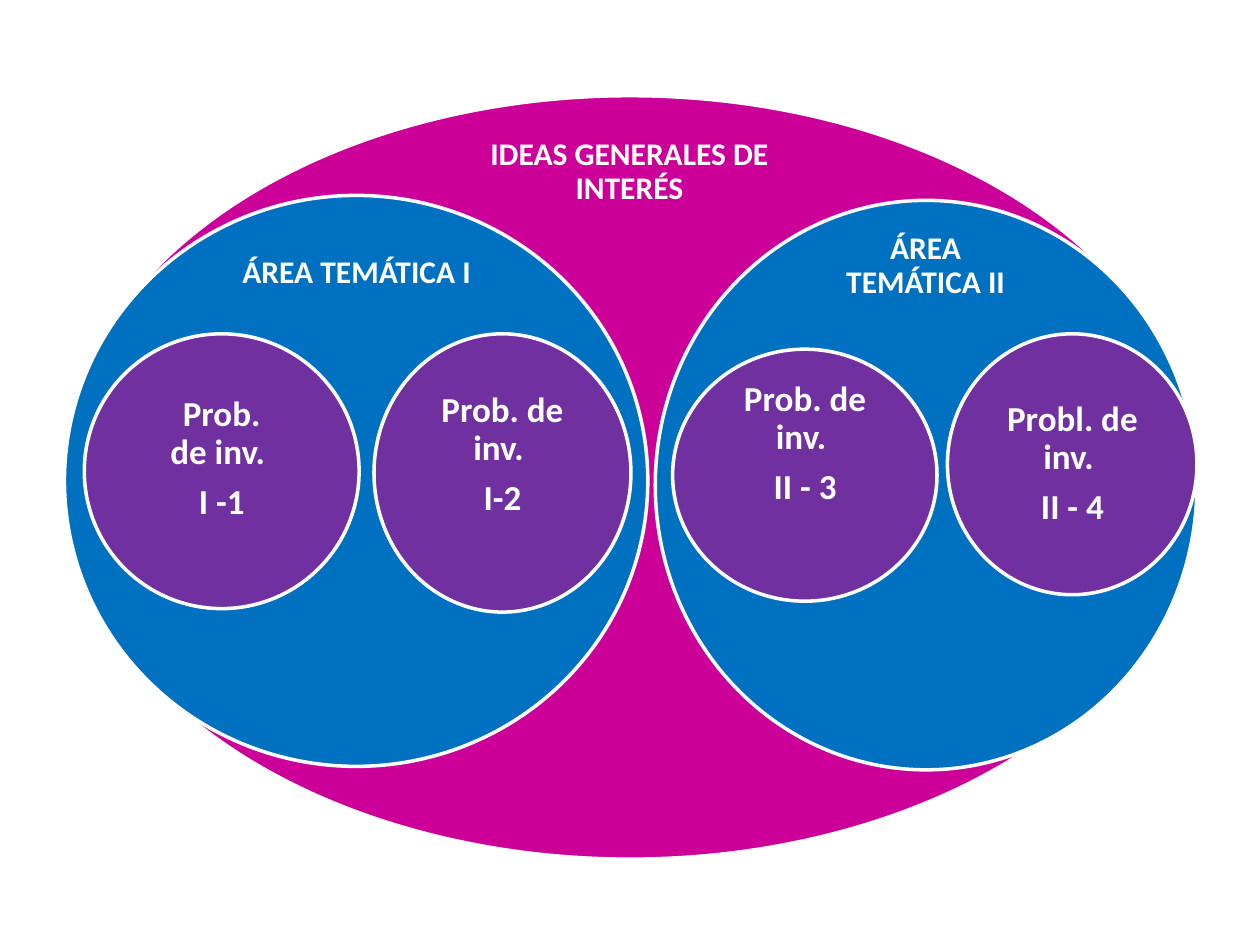
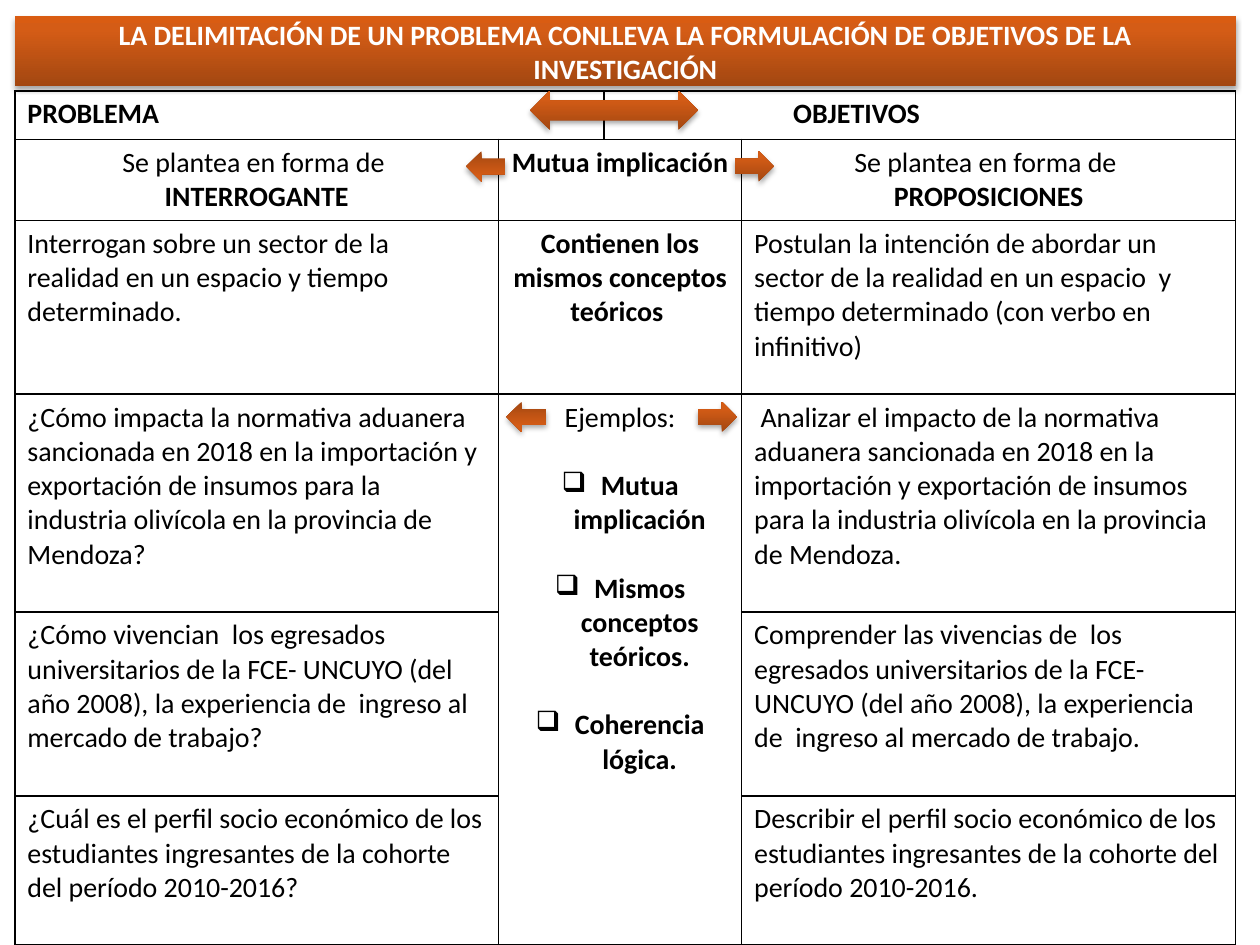
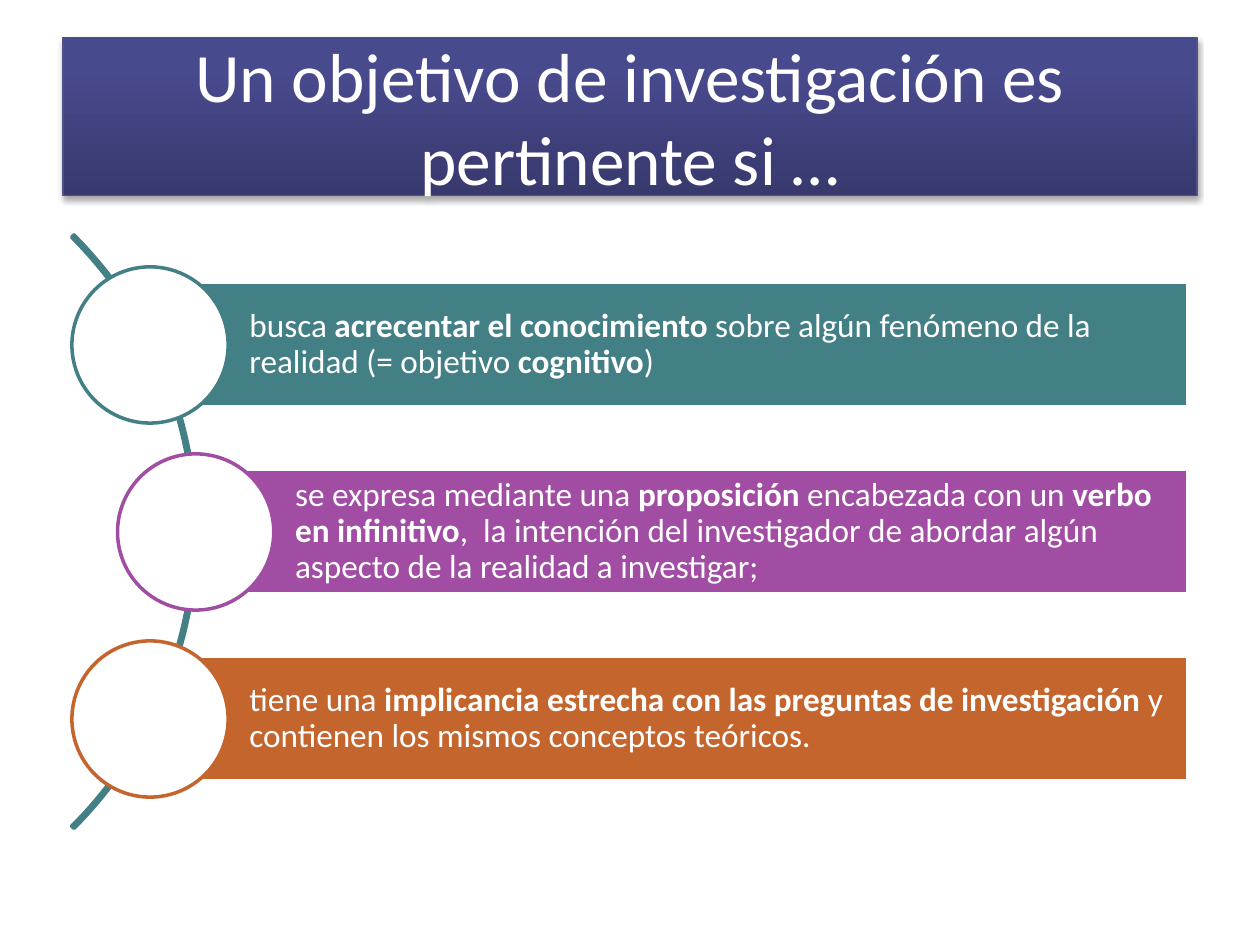
from copy import deepcopy

from pptx import Presentation
from pptx.dml.color import RGBColor
from pptx.enum.shapes import MSO_SHAPE as Shape
from pptx.enum.text import MSO_ANCHOR as Anchor, MSO_AUTO_SIZE as AutoSize, PP_ALIGN as Align
from pptx.oxml import parse_xml
from pptx.oxml.ns import nsdecls, qn
from pptx.util import Cm, Pt

COLORS = {
    "white": "FFFFFF", "black": "000000",
    "pink": "CC0099", "blue": "0070C0", "violet": "7030A0",
    "teal": "438086", "purple": "A04DA3", "orange": "C4652D", "edge": "505188",
}
RUST = ("A34711", "D45C16", "D95C12")
INDIGO = ("38396D", "484A8E", "474990")
FONT = "Calibri"


def add_shape(page, kind, box, fill=None, line=None):
    """Add a flat preset shape; box is left, top, width, height in cm."""
    shape = page.shapes.add_shape(kind, *[Cm(value) for value in box])
    shape.shadow.inherit = False
    if fill:
        shape.fill.solid()
        shape.fill.fore_color.rgb = RGBColor.from_string(COLORS[fill])
    else:
        shape.fill.background()
    if line:
        shape.line.color.rgb = RGBColor.from_string(COLORS[line])
        shape.line.width = Pt(2)
    else:
        shape.line.fill.background()
    return shape


def write(frame, paragraphs, size, align=Align.CENTER, color="white", spacing=1.0, gap=0):
    """Fill a text frame; each paragraph is a list of (text, bold) runs."""
    frame.word_wrap = True
    for number, runs in enumerate(paragraphs):
        para = frame.add_paragraph() if number else frame.paragraphs[0]
        para.alignment = align
        para.line_spacing = spacing
        if number and gap:
            para.space_before = Pt(gap)
        for text, bold in runs:
            span = para.add_run()
            span.text = text
            span.font.name = FONT
            span.font.size = Pt(size)
            span.font.bold = bold
            span.font.color.rgb = RGBColor.from_string(COLORS[color])


deck = Presentation()
deck.slide_width, deck.slide_height = Cm(25.4), Cm(19.05)
title_only, blank = deck.slide_layouts[5], deck.slide_layouts[6]
glossy = []  # shapes that get a gradient and a soft shadow

# Slide 1: nested sets
sets_page = deck.slides.add_slide(blank)
ellipses = [
    ((1.27, 1.93, 22.86, 15.39), "pink"),
    ((13.21, 4.04, 10.92, 11.48), "blue"),
    ((1.3, 3.94, 11.76, 11.51), "blue"),
    ((1.7, 6.73, 5.54, 5.54), "violet"),
    ((7.54, 6.73, 5.18, 5.61), "violet"),
    ((13.56, 7.04, 5.33, 5.08), "violet"),
    ((19.1, 6.73, 5.03, 5.26), "violet"),
]
# Centre, width and height of each label, in the order of the ellipses
labels = [
    (12.69, 3.47, 8.4, 1.55, 18, ["IDEAS GENERALES DE INTERÉS"]),
    (18.66, 5.36, 4.7, 1.32, 18, ["ÁREA TEMÁTICA II"]),
    (7.19, 5.51, 6.1, 1.57, 18, ["ÁREA TEMÁTICA I"]),
    (4.47, 9.25, 3, 3, 20, ["Prob. de inv. ", "I -1"]),
    (10.13, 9.17, 3.38, 3, 20, ["Prob. de inv. ", "I-2"]),
    (16.23, 8.96, 3.63, 3, 20, ["Prob. de inv. ", "II - 3"]),
    (21.62, 9.35, 3.56, 3, 20, ["Probl. de inv. ", "II - 4"]),
]
for (box, fill), (center_x, center_y, width, height, size, lines) in zip(ellipses, labels):
    add_shape(sets_page, Shape.OVAL, box, fill, "white")
    label = sets_page.shapes.add_textbox(
        Cm(center_x - width / 2), Cm(center_y - height / 2), Cm(width), Cm(height))
    frame = label.text_frame
    frame.vertical_anchor = Anchor.MIDDLE
    inset = Cm(0.36 if size == 18 else 0.41)
    frame.margin_left = frame.margin_right = frame.margin_top = frame.margin_bottom = inset
    write(frame, [[(line, True)] for line in lines], size, spacing=0.9, gap=7)

# Slides 2 and 3: title bands
table_page, criteria_page = [deck.slides.add_slide(title_only) for _ in range(2)]
bands = [
    (table_page, (0.3, 0.33, 24.61, 1.4), 16, True, RUST,
     "LA DELIMITACIÓN DE UN PROBLEMA CONLLEVA LA FORMULACIÓN DE OBJETIVOS DE LA INVESTIGACIÓN"),
    (criteria_page, (1.27, 0.76, 22.86, 3.18), 39.6, False, INDIGO,
     "Un objetivo de investigación es pertinente si …"),
]
for page, box, size, bold, stops, text in bands:
    title = page.shapes.title
    title.left, title.top, title.width, title.height = [Cm(value) for value in box]
    frame = title.text_frame
    frame.auto_size = AutoSize.NONE
    frame.vertical_anchor = Anchor.MIDDLE
    frame.margin_top = frame.margin_bottom = 0
    write(frame, [[(text, bold)]], size)
    glossy.append((title, stops))
criteria_page.shapes.title.line.color.rgb = RGBColor.from_string(COLORS["edge"])
criteria_page.shapes.title.line.width = Pt(0.75)

# Slide 2: table of problems and objectives
column_widths = [9.75, 2.13, 2.77, 9.96]
row_heights = [0.98, 1.63, 3.5, 4.39, 3.71, 3]
table = table_page.shapes.add_table(
    len(row_heights), len(column_widths), Cm(0.3), Cm(1.83),
    Cm(sum(column_widths)), Cm(sum(row_heights))).table
table.first_row = table.horz_banding = False
for column, width in zip(table.columns, column_widths):
    column.width = Cm(width)
for row, height in zip(table.rows, row_heights):
    row.height = Cm(height)

# Merged areas: first row, first column, last row, last column
for top, left, bottom, right in [(0, 0, 0, 1), (0, 2, 0, 3), (1, 1, 1, 2),
                                 (2, 1, 2, 2), (3, 1, 5, 2)]:
    table.cell(top, left).merge(table.cell(bottom, right))

for cell in table.iter_cells():
    cell.fill.background()
    for position, side in enumerate(["lnL", "lnR", "lnT", "lnB"]):
        border = parse_xml(
            f'<a:{side} {nsdecls("a")} w="12700"><a:solidFill>'
            f'<a:srgbClr val="{COLORS["black"]}"/></a:solidFill></a:{side}>')
        cell._tc.get_or_add_tcPr().insert(position, border)

cell_texts = {
    (0, 0): [("PROBLEMA", True)],
    (0, 2): [("OBJETIVOS", True)],
    (1, 0): [("Se plantea en forma de ", False), ("INTERROGANTE", True)],
    (1, 1): [("Mutua implicación ", True)],
    (1, 3): [("Se plantea en forma de ", False), ("PROPOSICIONES", True)],
    (2, 0): [("Interrogan sobre un sector de la realidad en un espacio y tiempo determinado.", False)],
    (2, 1): [("Contienen los mismos conceptos teóricos ", True)],
    (2, 3): [("Postulan la intención de abordar un sector de la realidad en un espacio  y tiempo "
              "determinado (con verbo en infinitivo)", False)],
    (3, 0): [("¿Cómo impacta la normativa aduanera sancionada en 2018 en la importación y exportación "
              "de insumos para la industria olivícola en la provincia de Mendoza?", False)],
    (3, 1): [("Ejemplos:", False), ("Mutua implicación", True),
             ("Mismos conceptos teóricos.", True), ("Coherencia lógica.", True)],
    (3, 3): [(" Analizar el impacto de la normativa aduanera sancionada en 2018 en la importación y "
              "exportación de insumos para la industria olivícola en la provincia de Mendoza.", False)],
    (4, 0): [("¿Cómo vivencian  los egresados universitarios de la FCE- UNCUYO (del año 2008), "
              "la experiencia de  ingreso al mercado de trabajo?", False)],
    (4, 3): [("Comprender las vivencias de  los egresados universitarios de la FCE- UNCUYO "
              "(del año 2008), la experiencia de  ingreso al mercado de trabajo.", False)],
    (5, 0): [("¿Cuál es el perfil socio económico de los estudiantes ingresantes de la cohorte "
              "del período 2010-2016?", False)],
    (5, 3): [("Describir el perfil socio económico de los estudiantes ingresantes de la cohorte "
              "del período 2010-2016.", False)],
}
for (row, column), lines in cell_texts.items():
    centered = row == 1 or column == 1
    write(table.cell(row, column).text_frame, [[line] for line in lines], 16,
          Align.CENTER if centered else Align.LEFT, "black", gap=19.5 if row == 3 else 0)
table.cell(0, 2).margin_left = Cm(3.81)

# Bulleted examples
for para in table.cell(3, 1).text_frame.paragraphs[1:]:
    properties = para._p.get_or_add_pPr()
    properties.set("marL", str(Cm(0.79)))
    properties.set("indent", str(-Cm(0.79)))
    properties.append(parse_xml(f'<a:buChar {nsdecls("a")} char="❑"/>'))

# Arrows over the table
for left, top, rotation in [(9.4, 3.05, 180), (14.81, 3.05, 0),
                            (14.07, 8.1, 0), (10.21, 8.1, 180)]:
    arrow = add_shape(table_page, Shape.RIGHT_ARROW, (left, top, 0.79, 0.61))
    arrow.rotation = rotation
    glossy.append((arrow, RUST))
double_arrow = add_shape(table_page, Shape.LEFT_RIGHT_ARROW, (10.69, 1.83, 3.38, 0.79))
glossy.append((double_arrow, RUST))

# Slide 3: arc with three criteria
arc = add_shape(criteria_page, Shape.BLOCK_ARC, (-12.95, 2.26, 16.92, 16.92), line="teal")
for index, value in enumerate([189, 27, 0.004]):
    arc.adjustments[index] = value

# Runs alternate between plain and bold
criteria = [
    ("teal", 3.02, ["busca ", "acrecentar el conocimiento ",
                    "sobre algún fenómeno de la realidad (= objetivo ", "cognitivo", ")"]),
    ("purple", 3.94, ["se expresa mediante una ", "proposición", " encabezada con un ",
                      "verbo en infinitivo", ",  la intención del investigador de abordar "
                      "algún aspecto de la realidad a investigar;"]),
    ("orange", 3.02, ["tiene una ", "implicancia estrecha con las preguntas de investigación ",
                      "y contienen los mismos conceptos teóricos."]),
]
for index, (color, left, texts) in enumerate(criteria):
    top = 5.69 + 3.77 * index
    bar = add_shape(criteria_page, Shape.RECTANGLE, (left, top, 23.95 - left, 2.51), color, "white")
    frame = bar.text_frame
    frame.vertical_anchor = Anchor.MIDDLE
    frame.margin_left = Cm(2.01)
    frame.margin_right = frame.margin_top = frame.margin_bottom = Cm(0.13)
    runs = [(text, number % 2 == 1) for number, text in enumerate(texts)]
    write(frame, [runs], 19, Align.LEFT, spacing=0.9)
    add_shape(criteria_page, Shape.OVAL, (left - 1.57, top - 0.31, 3.15, 3.15), "white", color)

# Gradient and shadow of the title bands and arrows
for shape, stops in glossy:
    shape.fill.gradient()
    shape.fill.gradient_angle = 90
    stop_list = shape._element.spPr.find(".//" + qn("a:gsLst"))
    stop_list.insert(1, deepcopy(stop_list[0]))
    for stop, color, position in zip(shape.fill.gradient_stops, stops, (0, 0.8, 1)):
        stop.color.rgb = RGBColor.from_string(color)
        stop.position = position
    shape.shadow.inherit = False
    shape._element.spPr.find(qn("a:effectLst")).append(parse_xml(
        f'<a:outerShdw {nsdecls("a")} blurRad="{Pt(3.1)}" dist="{Pt(1.8)}" dir="5400000" '
        f'rotWithShape="0"><a:srgbClr val="{COLORS["black"]}"><a:alpha val="35000"/>'
        '</a:srgbClr></a:outerShdw>'))

deck.save("out.pptx")
